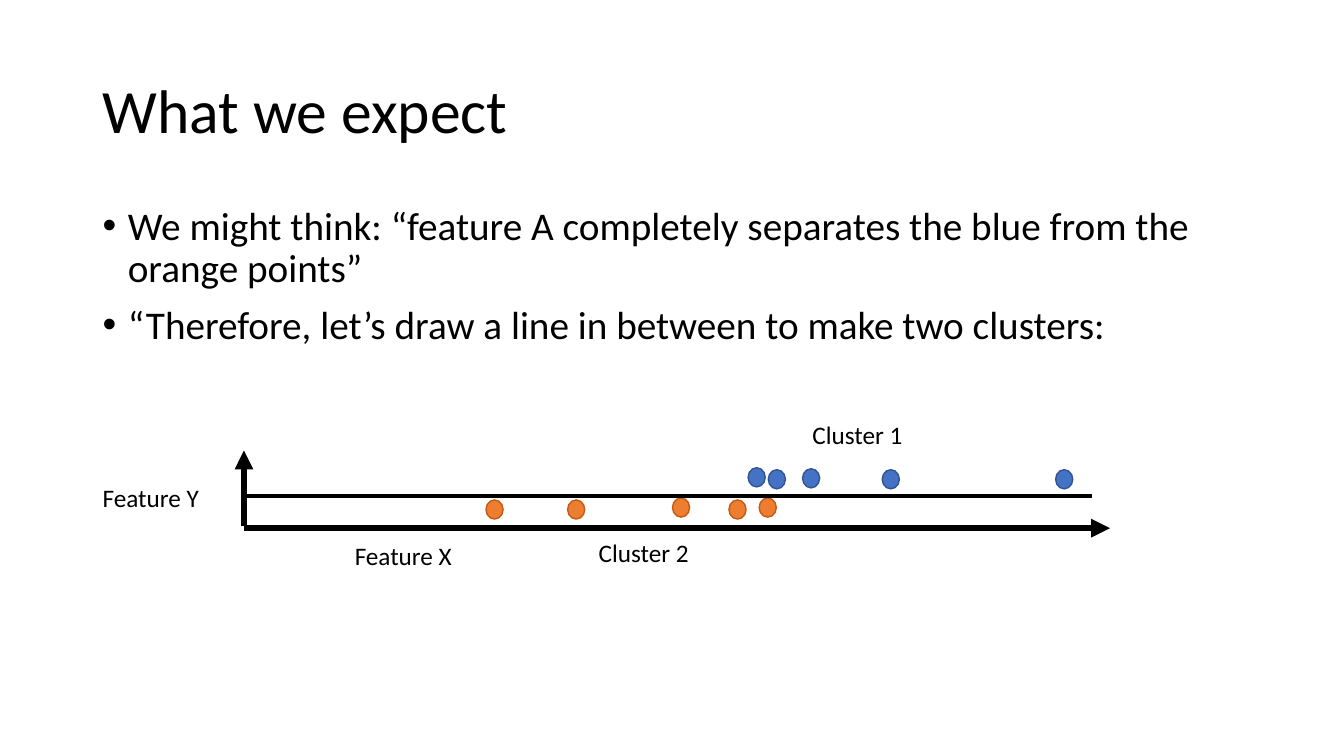
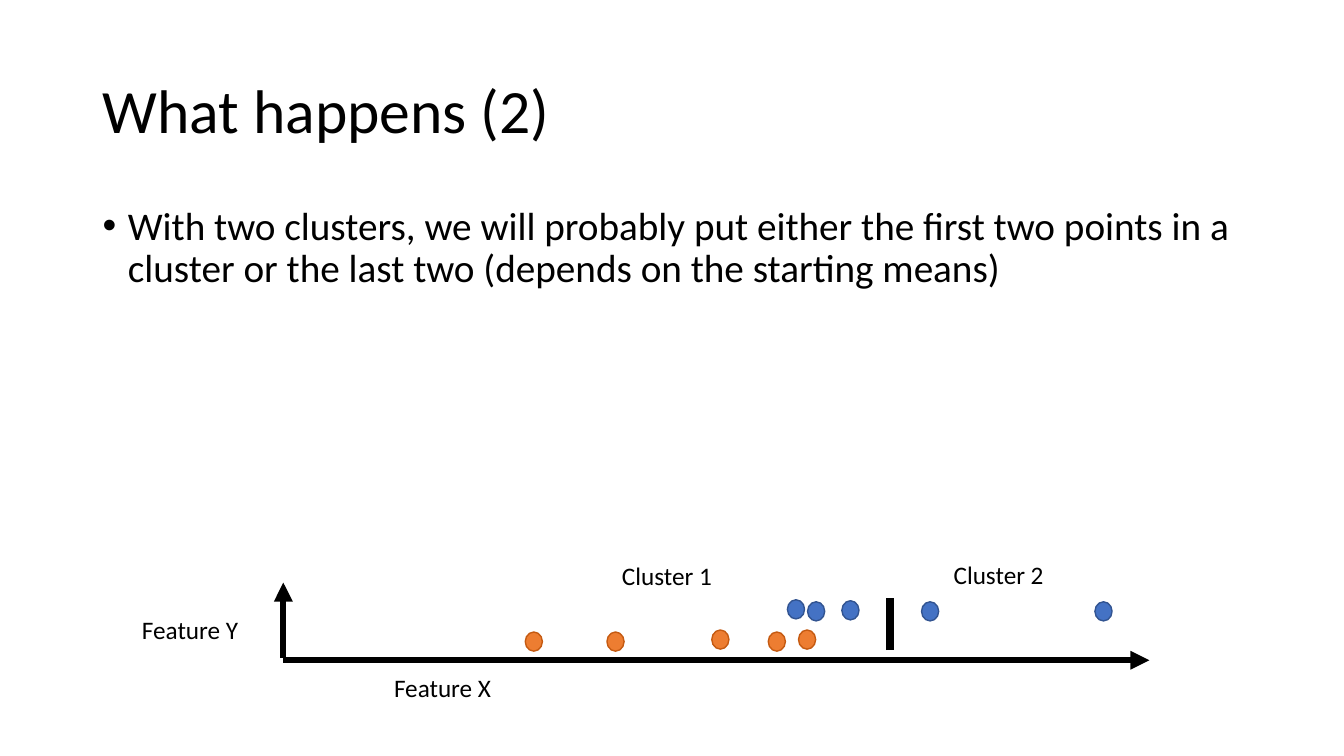
from pptx import Presentation
from pptx.dml.color import RGBColor
from pptx.enum import shapes, text
from pptx.oxml.ns import qn
from pptx.util import Inches, Pt

BLACK = RGBColor(0x00, 0x00, 0x00)
BLUE = RGBColor(0x44, 0x72, 0xC4)
DARK_BLUE = RGBColor(0x32, 0x54, 0x91)
ORANGE = RGBColor(0xED, 0x7D, 0x31)
DARK_ORANGE = RGBColor(0xC5, 0x5A, 0x11)

FONT = "Calibri"
MARGIN, CONTENT_WIDTH = 0.92, 11.5
DOT_WIDTH, DOT_HEIGHT = 0.17, 0.19
X_AXIS_LENGTH, Y_AXIS_LENGTH = 8.59, 0.75

# Top left corners of the dots, measured from the origin of the axes
BLUE_DOTS = [(5.0, -0.6), (5.2, -0.58), (5.54, -0.59), (6.33, -0.58), (8.05, -0.58)]
ORANGE_DOTS = [(2.4, -0.28), (3.21, -0.28), (4.25, -0.3), (4.81, -0.28), (5.11, -0.3)]


def write_text(frame, paragraphs, size=18, line_spacing=1.0, space_before=0,
               bullet=False, anchor=text.MSO_ANCHOR.TOP):
    frame.word_wrap = True
    frame.vertical_anchor = anchor
    for index, content in enumerate(paragraphs):
        paragraph = frame.paragraphs[0] if index == 0 else frame.add_paragraph()
        paragraph.line_spacing = line_spacing
        paragraph.space_before = Pt(space_before)
        run = paragraph.add_run()
        run.text = content
        run.font.name = FONT
        run.font.size = Pt(size)
        run.font.color.rgb = BLACK
        if bullet:
            properties = paragraph._p.get_or_add_pPr()
            properties.set("marL", str(Inches(0.25)))
            properties.set("indent", str(Inches(-0.25)))
            font = properties.makeelement(qn("a:buFont"), {"typeface": "Arial"})
            character = properties.makeelement(qn("a:buChar"), {"char": "•"})
            properties.extend([font, character])


class Deck:
    """Holds the presentation, its style and the current slide."""

    def __init__(self):
        self.presentation = Presentation()
        self.presentation.slide_width = Inches(13.33)
        self.presentation.slide_height = Inches(7.5)
        self.slide = None

    def new_slide(self, title, bullets):
        self.slide = self.presentation.slides.add_slide(self.presentation.slide_layouts[6])
        self.text_box([title], MARGIN, 0.4, CONTENT_WIDTH, 1.45, size=44,
                      line_spacing=0.9, anchor=text.MSO_ANCHOR.MIDDLE)
        self.text_box(bullets, MARGIN, 2, CONTENT_WIDTH, 4.76, size=28,
                      line_spacing=0.9, space_before=10, bullet=True)

    def text_box(self, paragraphs, left, top, width, height, **style):
        box = self.slide.shapes.add_textbox(
            Inches(left), Inches(top), Inches(width), Inches(height))
        write_text(box.text_frame, paragraphs, **style)

    def label(self, content, left, top, width=2.33):
        self.text_box([content], left, top, width, 0.4)

    def dot(self, left, top, fill, outline):
        shape = self.slide.shapes.add_shape(
            shapes.MSO_SHAPE.OVAL, Inches(left), Inches(top),
            Inches(DOT_WIDTH), Inches(DOT_HEIGHT))
        shape.shadow.inherit = False
        shape.fill.solid()
        shape.fill.fore_color.rgb = fill
        shape.line.color.rgb = outline
        shape.line.width = Pt(1)

    def line(self, start, end, width, arrow=False):
        connector = self.slide.shapes.add_connector(
            shapes.MSO_CONNECTOR.STRAIGHT, *map(Inches, (*start, *end)))
        connector.line.color.rgb = BLACK
        connector.line.width = Pt(width)
        if arrow:
            outline = connector.line._get_or_add_ln()
            outline.append(outline.makeelement(qn("a:tailEnd"), {"type": "triangle"}))
        properties = connector._element.spPr
        properties.append(properties.makeelement(qn("a:effectLst"), {}))

    def scatter(self, x, y):
        """Draw the dots, axes and feature names around the origin (x, y)."""
        for dots, fill, outline in ((BLUE_DOTS, BLUE, DARK_BLUE),
                                    (ORANGE_DOTS, ORANGE, DARK_ORANGE)):
            for dx, dy in dots:
                self.dot(x + dx, y + dy, fill, outline)
        self.line((x, y), (x + X_AXIS_LENGTH, y), 4.5, arrow=True)
        self.line((x, y - 0.02), (x, y - 0.02 - Y_AXIS_LENGTH), 4.5, arrow=True)
        self.label("Feature X", x + 1, y + 0.07, 2.21)
        self.label("Feature Y", x - 1.5, y - 0.5, 2.21)

    def save(self):
        self.presentation.save("out.pptx")


def main():
    deck = Deck()

    deck.new_slide("What we expect", [
        "We might think: “feature A completely separates the blue from the orange points”",
        "“Therefore, let’s draw a line in between to make two clusters:",
    ])
    deck.scatter(2.42, 5.24)
    deck.line((2.42, 4.92), (10.83, 4.92), 3)
    deck.label("Cluster 1", 7.96, 4.11)
    deck.label("Cluster 2", 5.84, 5.28)

    deck.new_slide("What happens (2)", [
        "With two clusters, we will probably put either the first two points in a "
        "cluster or the last two (depends on the starting means)",
    ])
    deck.scatter(2.81, 6.55)
    deck.line((8.83, 6.45), (8.83, 5.93), 6)
    deck.label("Cluster 1", 6.07, 5.51)
    deck.label("Cluster 2", 9.36, 5.5)

    deck.save()


if __name__ == "__main__":
    main()
